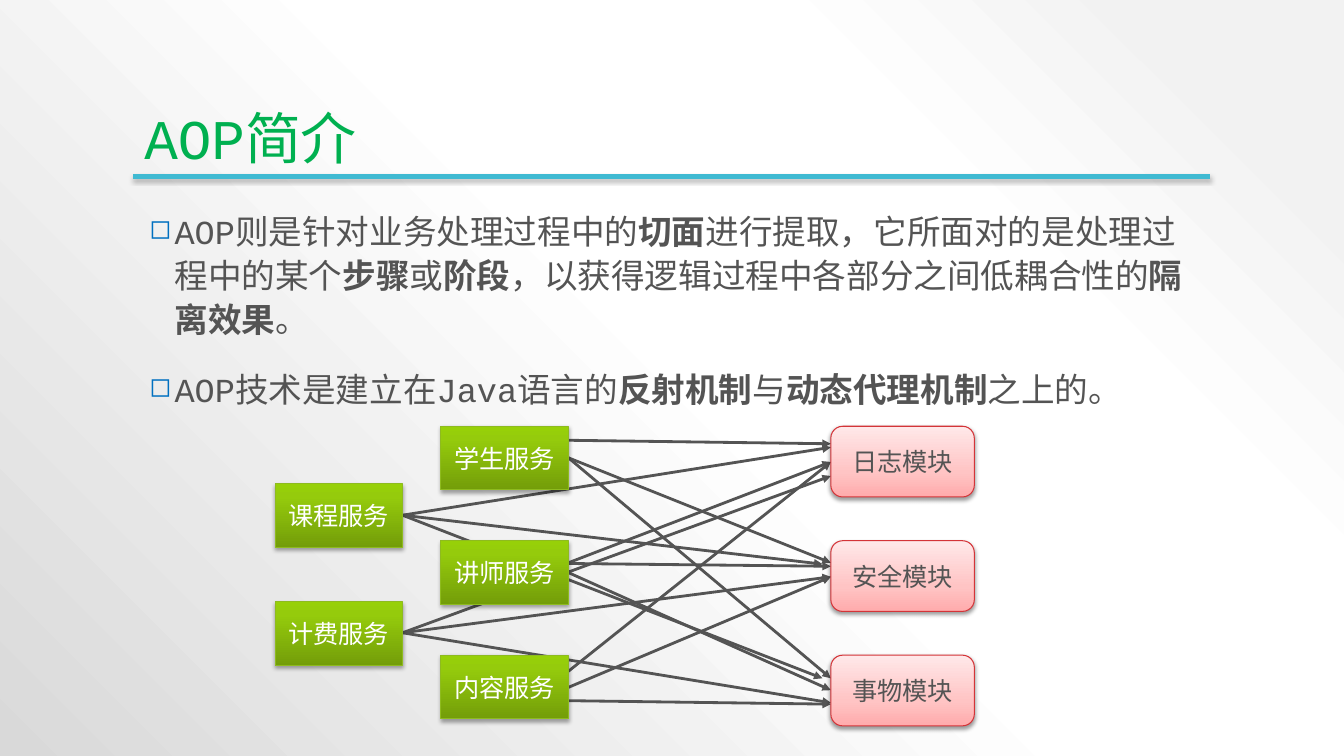
from lxml import etree
from pptx import Presentation
from pptx.dml.color import RGBColor
from pptx.enum.shapes import MSO_CONNECTOR, MSO_SHAPE
from pptx.enum.text import MSO_ANCHOR, PP_ALIGN
from pptx.oxml import parse_xml
from pptx.oxml.ns import nsdecls, qn
from pptx.util import Pt

COLORS = {
    "title": "00B050", "text": "545454", "bullet": "0070C0", "rule": "40BAD2",
    "white": "FFFFFF", "service line": "8EBB1F", "module line": "D43438",
}
RGB = {name: RGBColor.from_string(value) for name, value in COLORS.items()}
FONT = "Courier New"
BACKGROUND_STOPS = [(10, "F2F2F2"), (28, "FFFFFF"), (48, "FFFFFF"), (100, "D9D9D9")]
SERVICE_STOPS = [(0, "739D09"), (80, "95CB0C"), (100, "97D008")]
MODULE_STOPS = [(0, "FFABAC"), (35, "FFC4C4"), (100, "FFE8E9")]
UPWARD = '<a:lin ang="16200000" scaled="0"/>'
FROM_TOP_RIGHT = '<a:path path="circle"><a:fillToRect l="100000" b="100000"/></a:path>'


def set_gradient(element, stops, direction):
    gradient = element.find(".//" + qn("a:gradFill"))
    stop_xml = "".join(
        f'<a:gs pos="{position * 1000}"><a:srgbClr val="{color}"/></a:gs>'
        for position, color in stops)
    gradient.getparent().replace(gradient, parse_xml(
        f'<a:gradFill {nsdecls("a")} rotWithShape="1">'
        f'<a:gsLst>{stop_xml}</a:gsLst>{direction}</a:gradFill>'))


def set_shadow(properties, opacity):
    """Give a soft shadow below; an opacity of 0 means no shadow."""
    effects = properties.find(qn("a:effectLst"))
    if effects is None:
        effects = etree.SubElement(properties, qn("a:effectLst"))
    if opacity:
        effects.append(parse_xml(
            f'<a:outerShdw {nsdecls("a")} blurRad="{Pt(3.1)}" dist="{Pt(1.8)}" '
            f'dir="5400000" rotWithShape="0"><a:srgbClr val="000000">'
            f'<a:alpha val="{opacity * 1000}"/></a:srgbClr></a:outerShdw>'))


presentation = Presentation()
presentation.slide_width, presentation.slide_height = Pt(960), Pt(540)
slide = presentation.slides.add_slide(presentation.slide_layouts[6])
shapes = slide.shapes

# Background
slide.background.fill.gradient()
set_gradient(slide._element, BACKGROUND_STOPS, FROM_TOP_RIGHT)

# Rule under the title
rule = shapes.add_connector(MSO_CONNECTOR.STRAIGHT, Pt(95), Pt(126), Pt(864), Pt(126))
rule.line.color.rgb = RGB["rule"]
rule.line.width = Pt(3)
set_shadow(rule._element.spPr, 35)

# Title
title = shapes.add_textbox(Pt(96), Pt(21.6), Pt(768), Pt(104.4)).text_frame
title.word_wrap = True
title.vertical_anchor = MSO_ANCHOR.BOTTOM
paragraph = title.paragraphs[0]
paragraph.text = "AOP简介"
paragraph.line_spacing = 0.9
paragraph.font.name, paragraph.font.size = FONT, Pt(40)
paragraph.font.color.rgb = RGB["title"]

# Body: every second run is bold
body_paragraphs = [
    ["AOP则是针对业务处理过程中的", "切面", "进行提取，它所面对的是处理过程中的某个",
     "步骤", "或", "阶段", "，以获得逻辑过程中各部分之间低耦合性的", "隔离效果", "。"],
    ["AOP技术是建立在Java语言的", "反射机制", "与", "动态代理机制", "之上的。"],
]
body = shapes.add_textbox(Pt(96), Pt(144), Pt(768), Pt(342)).text_frame
body.word_wrap = True
for number, texts in enumerate(body_paragraphs):
    paragraph = body.add_paragraph() if number else body.paragraphs[0]
    paragraph.line_spacing = 1.1
    paragraph.space_before = Pt(18)
    properties = paragraph._p.get_or_add_pPr()
    properties.set("marL", str(Pt(21.6)))
    properties.set("indent", str(-Pt(18)))
    bullet_color = etree.SubElement(properties, qn("a:buClr"))
    etree.SubElement(bullet_color, qn("a:srgbClr"), val=COLORS["bullet"])
    etree.SubElement(properties, qn("a:buSzPct"), val="80000")
    etree.SubElement(properties, qn("a:buChar"), char="◻")
    paragraph.font.name, paragraph.font.size = FONT, Pt(24)
    paragraph.font.color.rgb = RGB["text"]
    for index, text in enumerate(texts):
        run = paragraph.add_run()
        run.text = text
        run.font.bold = index % 2 == 1

# Arrows from services to modules: start x, start y, end x, end y
OUTER, INNER, MODULE = 287.5, 406, 593.5
arrows = [
    (INNER, 314.5, MODULE, 317), (INNER, 327, MODULE, 402), (INNER, 327, MODULE, 484.5),
    (INNER, 402, MODULE, 330), (INNER, 402.5, MODULE, 404.5), (INNER, 409, MODULE, 493),
    (INNER, 479.5, MODULE, 330), (INNER, 500.5, MODULE, 503), (INNER, 491, MODULE, 412),
    (OUTER, 452, MODULE, 502), (OUTER, 452, MODULE, 412), (OUTER, 452, MODULE, 340),
    (OUTER, 368, MODULE, 319.5), (OUTER, 368, 587.5, 403), (OUTER, 368, 587.5, 484.5),
]
for ends in arrows:
    arrow = shapes.add_connector(MSO_CONNECTOR.STRAIGHT, *map(Pt, ends))
    arrow.line.color.rgb = RGB["text"]
    arrow.line.width = Pt(2)
    etree.SubElement(arrow.line._get_or_add_ln(), qn("a:tailEnd"), type="triangle")
    set_shadow(arrow._element.spPr, 0)

# Boxes: each column has a left edge, a first top, a step and its names
service = (MSO_SHAPE.RECTANGLE, 91, 45.5, SERVICE_STOPS, "service line", "white", 35)
module = (MSO_SHAPE.ROUNDED_RECTANGLE, 102.5, 50.5, MODULE_STOPS, "module line", "text", 38)
columns = [
    (service, 196.5, 345.5, 84.5, ["课程服务", "计费服务"]),
    (service, 315, 304.5, 81.75, ["学生服务", "讲师服务", "内容服务"]),
    (module, 593.5, 304.5, 81.75, ["日志模块", "安全模块", "事物模块"]),
]
for style, left, first_top, step, names in columns:
    preset, width, height, stops, line_color, text_color, opacity = style
    for row, name in enumerate(names):
        box = shapes.add_shape(
            preset, Pt(left), Pt(first_top + row * step), Pt(width), Pt(height))
        box.fill.gradient()
        set_gradient(box._element, stops, UPWARD)
        box.line.color.rgb = RGB[line_color]
        box.line.width = Pt(0.75)
        box.shadow.inherit = False
        set_shadow(box._element.spPr, opacity)
        box.text_frame.vertical_anchor = MSO_ANCHOR.MIDDLE
        paragraph = box.text_frame.paragraphs[0]
        paragraph.text = name
        paragraph.alignment = PP_ALIGN.CENTER
        paragraph.font.name, paragraph.font.size = FONT, Pt(18)
        paragraph.font.color.rgb = RGB[text_color]

presentation.save("out.pptx")
